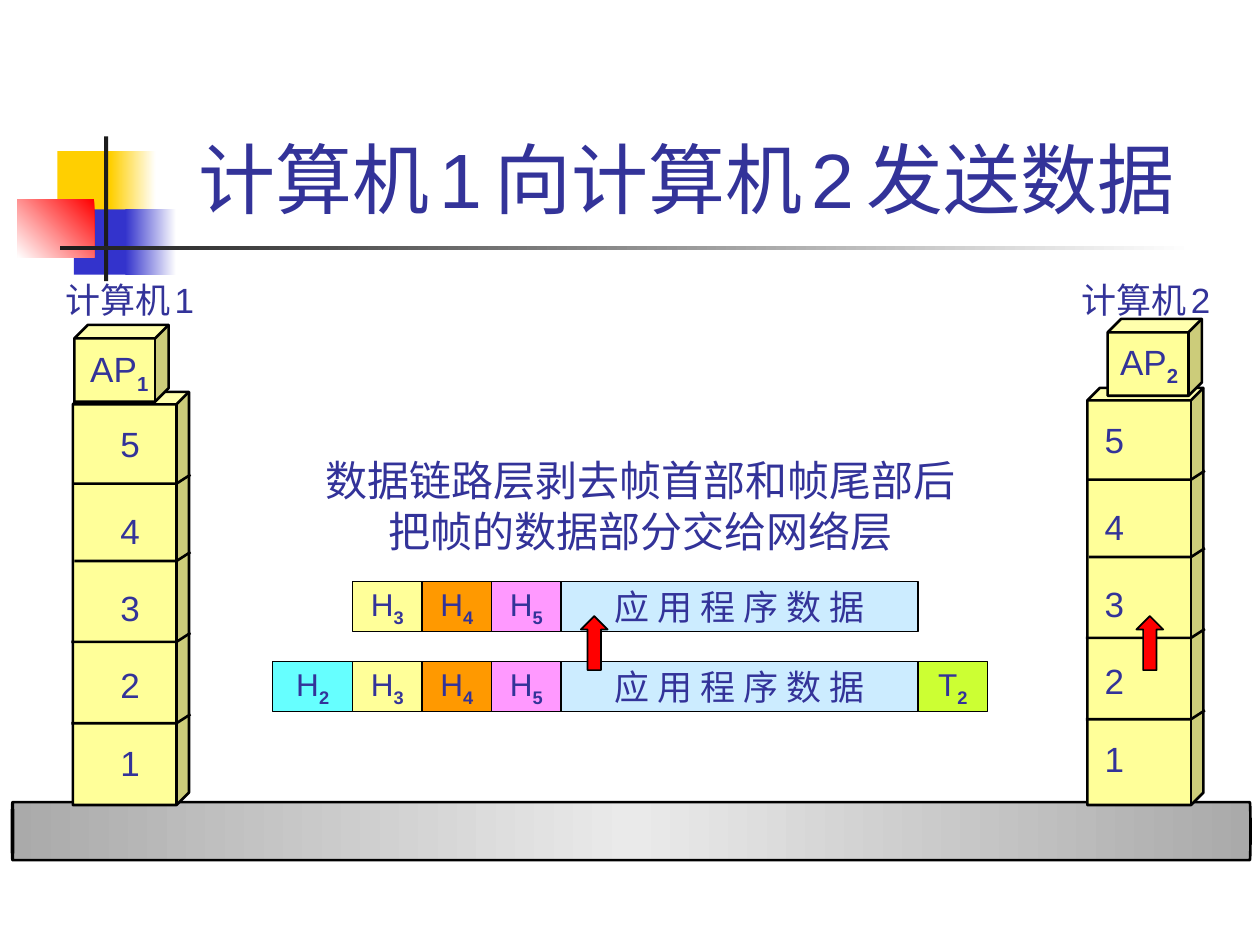
from lxml import etree
from pptx import Presentation
from pptx.dml.color import RGBColor
from pptx.enum.shapes import MSO_SHAPE
from pptx.enum.text import MSO_ANCHOR, MSO_AUTO_SIZE, PP_ALIGN
from pptx.oxml.ns import qn
from pptx.util import Cm, Pt

RECT, CUBE, CAN, UP_ARROW = (
    MSO_SHAPE.RECTANGLE, MSO_SHAPE.CUBE, MSO_SHAPE.CAN, MSO_SHAPE.UP_ARROW)
LEFT, CENTER = PP_ALIGN.LEFT, PP_ALIGN.CENTER
MIDDLE, BOTTOM = MSO_ANCHOR.MIDDLE, MSO_ANCHOR.BOTTOM
FIT_SHAPE, NO_FIT = MSO_AUTO_SIZE.SHAPE_TO_FIT_TEXT, MSO_AUTO_SIZE.NONE

COLORS = {
    "text": "333399", "outline": "000000", "white": "FFFFFF", "dark": "1C1C1C",
    "gold": "FFCF01", "blue": "3333CC", "red": "FF0000",
    "cable_edge": "AAAAAA", "cable_mid": "EAEAEA", "yellow": "FFFF99",
    "orange": "FF9900", "pink": "FF99FF", "sky": "CCECFF",
    "cyan": "66FFFF", "lime": "CCFF33",
}
LAYER_OFFSETS = {"5": 0.5, "4": 2.25, "3": 3.8, "2": 5.35, "1": 6.92}
DIVIDERS = [(0, 1.85), (0.03, 3.41), (-0.03, 5.04), (-0.03, 6.68)]
PAYLOAD = [("H", "3", "yellow", 1.4), ("H", "4", "orange", 1.4),
           ("H", "5", "pink", 1.4), ("应 用 程 序 数 据", "", "sky", 7.2)]


def rgb(color):
    """Return the RGB value of a named colour."""
    return RGBColor.from_string(COLORS[color])


def box_cm(*lengths):
    """Convert lengths in centimetres."""
    return [Cm(length) for length in lengths]


def fill_gradient(shape, colors, angle):
    """Fill a shape with evenly spaced colours along a clockwise angle."""
    shape.fill.gradient()
    gradient = shape._element.spPr.find(qn("a:gradFill"))
    for child in list(gradient):
        gradient.remove(child)
    stops = etree.SubElement(gradient, qn("a:gsLst"))
    for index, color in enumerate(colors):
        position = str(100000 * index // (len(colors) - 1))
        stop = etree.SubElement(stops, qn("a:gs"), pos=position)
        etree.SubElement(stop, qn("a:srgbClr"), val=COLORS[color])
    etree.SubElement(gradient, qn("a:lin"), ang=str(angle * 60000), scaled="0")


def add_block(slide, kind, box, colors, line=0, angle=0, adjust=None):
    """Add a preset shape with a solid or gradient fill."""
    block = slide.shapes.add_shape(kind, *box_cm(*box))
    block.shadow.inherit = False
    if len(colors) == 1:
        block.fill.solid()
        block.fill.fore_color.rgb = rgb(colors[0])
    else:
        fill_gradient(block, colors, angle)
    if line:
        block.line.color.rgb = rgb("outline")
        block.line.width = Pt(line)
    else:
        block.line.fill.background()
    if adjust is not None:
        block.adjustments[0] = adjust
    return block


def write(paragraph, parts, align=LEFT, font="Arial"):
    """Write (text, size) parts into a paragraph."""
    paragraph.alignment = align
    for words, size in parts:
        run = paragraph.add_run()
        run.text = words
        run.font.color.rgb = rgb("text")
        for name, value in {"name": font, "size": Pt(size), "bold": False}.items():
            setattr(run.font, name, value)


def write_subscript(paragraph, digit, size):
    """Append a bold subscript digit to a paragraph."""
    write(paragraph, [(digit, size)], paragraph.alignment)
    run = paragraph.runs[-1]
    run.font.bold = True
    run._r.get_or_add_rPr().set("baseline", "-25000")


def add_label(slide, box, lines, align=LEFT):
    """Add an unwrapped text box and return its last paragraph."""
    frame = slide.shapes.add_textbox(*box_cm(*box)).text_frame
    for name, value in {"word_wrap": False, "auto_size": FIT_SHAPE}.items():
        setattr(frame, name, value)
    for index, parts in enumerate(lines):
        paragraph = frame.add_paragraph() if index else frame.paragraphs[0]
        write(paragraph, parts, align)
    return paragraph


def add_title(slide, box):
    """Place the heading in the title placeholder."""
    heading = slide.shapes.title
    for name, value in zip(("left", "top", "width", "height"), box_cm(*box)):
        setattr(heading, name, value)
    frame = heading.text_frame
    for name, value in {"vertical_anchor": BOTTOM, "auto_size": NO_FIT,
                        "word_wrap": True}.items():
        setattr(frame, name, value)
    gap = (" ", 24)
    write(frame.paragraphs[0], [("计算机", 44), gap, ("1", 44), gap, ("向计算机", 44),
                                gap, ("2", 44), gap, ("发送数据 ", 44)], CENTER)


def add_ornament(slide, left, top):
    """Draw the coloured squares and rules beside the title."""
    for x, y, width, height, colors, angle in [
        (0.81, 0.3, 1.22, 1.32, ["gold"], 0),
        (1.88, 0.3, 0.91, 1.32, ["gold", "white"], 0),
        (1.14, 1.47, 1.17, 1.32, ["blue"], 0),
        (2.18, 1.47, 1.02, 1.32, ["blue", "white"], 0),
        (0, 1.27, 1.55, 1.17, ["red", "white"], 135),
        (1.75, 0, 0.08, 2.92, ["dark"], 0),
        (0.86, 2.2, 22.86, 0.09, ["dark", "white"], 0),
    ]:
        add_block(slide, RECT, (left + x, top + y, width, height), colors, angle=angle)


def add_cable(slide, left, top, width, height):
    """Draw the transmission medium as a can lying on its side."""
    shift = (width - height) / 2
    cable = add_block(slide, CAN, (left + shift, top - shift, height, width),
                      ["cable_edge", "cable_mid", "cable_edge"], 1.5, 90, 0.023)
    cable.rotation = 270


def add_computer(slide, number, tower, digit_inset, process, process_text, caption):
    """Draw one computer: layer tower, application process and caption."""
    left, top, width, height = tower
    add_block(slide, CUBE, tower, ["yellow"], 1.5, adjust=0.108)
    for layer, offset in LAYER_OFFSETS.items():
        add_label(slide, (left + digit_inset, top + offset, 0.89, 1.12), [[(layer, 20)]])
    for shift, offset in DIVIDERS:
        front, y = left + shift, top + offset
        builder = slide.shapes.build_freeform(Cm(front), Cm(y))
        builder.add_line_segments(
            [box_cm(left + 2.09, y), box_cm(left + 2.37, y - 0.18)], close=False)
        divider = builder.convert_to_shape()
        divider.shadow.inherit = False
        divider.fill.background()
        divider.line.color.rgb = rgb("outline")
        divider.line.width = Pt(1.5)
    add_block(slide, CUBE, (*process, 1.9, 1.55), ["yellow"], 1.5, adjust=0.176)
    name = add_label(slide, (*process_text, 1.68, 1.22), [[("AP", 20)]])
    write_subscript(name, number, 20)
    add_label(slide, (*caption, 3.18, 1.12), [[("计算机", 20), (" ", 10), (number, 20)]])


def add_frame_row(slide, left, top, height, fields):
    """Lay the fields of a data unit side by side."""
    for words, digit, color, width in fields:
        field = add_block(slide, RECT, (left, top, width, height), [color], 0.75)
        frame = field.text_frame
        for name, value in {"word_wrap": False, "vertical_anchor": MIDDLE}.items():
            setattr(frame, name, value)
        paragraph = frame.paragraphs[0]
        if digit:
            write(paragraph, [(words, 18)], CENTER)
            write_subscript(paragraph, digit, 18)
        else:
            write(paragraph, [(words, 20)], CENTER, "Karla")
        left += width


def main():
    """Build the slide and save it."""
    deck = Presentation()
    deck.slide_width, deck.slide_height = box_cm(25.4, 19.05)
    slide = deck.slides.add_slide(deck.slide_layouts[5])
    add_ornament(slide, 0.35, 2.75)
    add_title(slide, (3.2, 0.58, 21.64, 4.06))
    add_cable(slide, 0.24, 16.17, 24.97, 1.17)
    add_computer(slide, "1", (1.47, 7.9, 2.34, 8.33), 0.71,
                 (1.5, 6.55), (1.57, 6.88), (1.07, 5.49))
    add_computer(slide, "2", (21.92, 7.82, 2.34, 8.41), 0.1,
                 (22.33, 6.43), (22.33, 6.73), (21.56, 5.49))
    add_label(slide, (6.3, 9.04, 13.21, 2.29),
              [[("数据链路层剥去帧首部和帧尾部后", 24)],
               [("把帧的数据部分交给网络层", 24)]], CENTER)
    add_frame_row(slide, 7.11, 11.73, 1, PAYLOAD)
    add_frame_row(slide, 5.5, 13.34, 1, [
        ("H", "2", "cyan", 1.61), *PAYLOAD, ("T", "2", "lime", 1.4)])
    for arrow_left in (22.91, 11.71):
        add_block(slide, UP_ARROW, (arrow_left, 12.42, 0.54, 1.09), ["red"], 1)
    deck.save("out.pptx")


if __name__ == "__main__":
    main()
